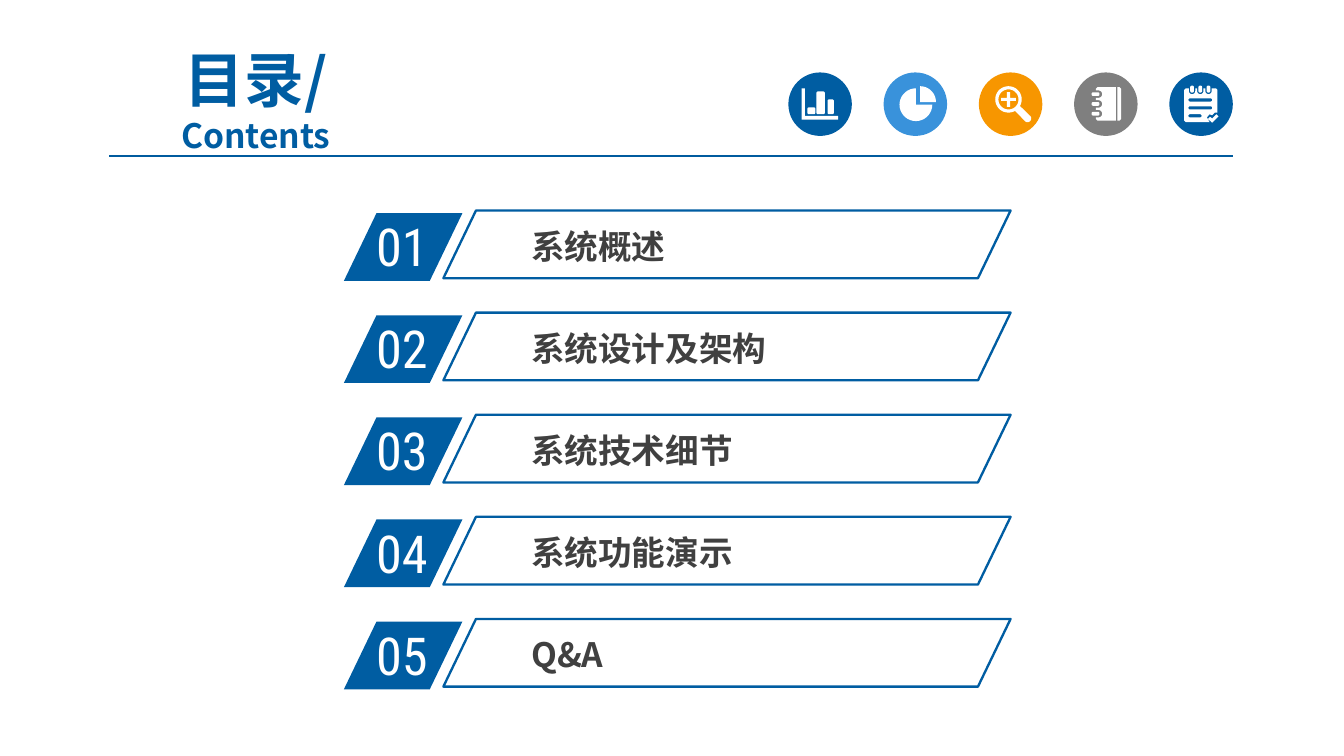
import math

import pptx
import pptx.dml.color
import pptx.enum.shapes
import pptx.enum.text
import pptx.oxml
import pptx.oxml.ns
import pptx.util

Cm = pptx.util.Cm
SHAPES = pptx.enum.shapes.MSO_SHAPE
TEXT = pptx.enum.text

BLUE, SKY, ORANGE, GREY = "005DA2", "3992DB", "F79600", "7F7F7F"
LINE_BLUE, DARK, WHITE = "005B9E", "404040", "FFFFFF"


def color(hex_string):
    return pptx.dml.color.RGBColor.from_string(hex_string)


# Outlines for the icons, in tenths of a millimetre inside a 120 x 120 badge
def arc(x, y, radius, start, end):
    steps = max(4, int(abs(end - start) / 10))
    angles = [math.radians(start + (end - start) * i / steps) for i in range(steps + 1)]
    return [(x + radius * math.cos(a), y + radius * math.sin(a)) for a in angles]


def bar(left, top, right, bottom, radius=3):
    return (arc(right - radius, top + radius, radius, -90, 0)
            + arc(right - radius, bottom - radius, radius, 0, 90)
            + arc(left + radius, bottom - radius, radius, 90, 180)
            + arc(left + radius, top + radius, radius, 180, 270))


def bar_chart_icon():
    axes = [(25, 30), (31, 30), (31, 82), (94, 82), (94, 89), (25, 89)]
    return [axes, bar(36, 66, 51, 79), bar(53, 36, 69, 79), bar(74, 51, 86, 79)]


def pie_icon():
    return [[(69, 56)] + arc(69, 56, 30, -90, 0), [(61, 61)] + arc(61, 61, 31, 0, 270)]


def magnifier_icon():
    x, y, long, thin = 56, 51, 14, 3
    lens_and_handle = arc(x, y, 25, 60, 390) + arc(92, 87, 7, -45, 135)
    corners = [(thin, long), (thin, thin), (long, thin)]
    plus = []
    for sign_x, sign_y in ((1, 1), (1, -1), (-1, -1), (-1, 1)):
        quarter = corners if sign_x == sign_y else corners[::-1]
        plus += [(x + sign_x * a, y + sign_y * b) for a, b in quarter]
    return [lens_and_handle, arc(x, y, 19, 0, 360), plus]


def notebook_icon():
    holes = [41, 59.5, 78]
    cover = [(79, 28), (44, 28), (41, 31)]
    for y in holes:
        cover += arc(46, y, 7, -90, 90) if not cover else (
            [(41, y - 7)] + arc(46, y, 7, -90, 90) + [(41, y + 7)])
    cover += [(41, 88), (44, 91), (79, 91)]
    spine = [(82, 28), (86, 28), (89, 31), (89, 88), (86, 91), (82, 91)]
    return [cover, spine] + [bar(33, y - 3.5, 48, y + 3.5) for y in holes]


def checklist_icon():
    rings = [43, 58.5, 74]
    page = [(28, 33), (31, 30)]
    for x in rings:
        page += [(x - 6, 30)] + arc(x, 35, 6, 180, 0) + [(x + 6, 30)]
    page += [(88, 30), (91, 33), (91, 76), (86, 76), (81, 81), (76, 79),
             (71, 85), (76, 94), (31, 94), (28, 91)]
    tick = [(93, 83), (81, 95), (73, 88), (77, 84), (81, 87), (89, 79)]
    lines = [bar(36, 49, 81, 55), bar(36, 64, 81, 70), bar(36, 79, 61, 85)]
    return [page, tick] + lines + [bar(x - 3.5, 25, x + 3.5, 38) for x in rings]


class ContentsSlide:
    cjk_font = "Noto Sans CJK SC"
    number_font = "Roboto Condensed"
    slant = 0.482
    badge_size = 1.2

    def __init__(self, slide):
        self.slide = slide

    def paint(self, shape, fill=None, line=None, width=1.25):
        shape.shadow.inherit = False
        if fill:
            shape.fill.solid()
            shape.fill.fore_color.rgb = color(fill)
        else:
            shape.fill.background()
        if line:
            shape.line.color.rgb = color(line)
            shape.line.width = pptx.util.Pt(width)
        else:
            shape.line.fill.background()

    def parallelogram(self, left, top, width, height, **paint):
        shape = self.slide.shapes.add_shape(
            SHAPES.PARALLELOGRAM, Cm(left), Cm(top), Cm(width), Cm(height))
        shape.adjustments[0] = self.slant
        self.paint(shape, **paint)

    def text(self, box, lines, name, hex_color, bold=False, frame=None, align=None):
        shape = self.slide.shapes.add_textbox(*map(Cm, box))
        for key, value in {"word_wrap": True, **(frame or {})}.items():
            setattr(shape.text_frame, key, value)
        paragraph = shape.text_frame.paragraphs[0]
        paragraph.alignment = align
        for index, (words, size) in enumerate(lines):
            if index:
                paragraph.add_line_break()
            run = paragraph.add_run()
            run.text = words
            style = {"name": name, "size": pptx.util.Pt(size), "bold": bold}
            for key, value in style.items():
                setattr(run.font, key, value)
            run.font.color.rgb = color(hex_color)
            latin = run.font._element.find(pptx.oxml.ns.qn("a:latin"))
            east_asian = pptx.oxml.parse_xml(
                f'<a:ea {pptx.oxml.ns.nsdecls("a")} typeface="{name}"/>')
            latin.addnext(east_asian)

    def rule(self, left, right, y):
        connector = self.slide.shapes.add_connector(
            pptx.enum.shapes.MSO_CONNECTOR.STRAIGHT, Cm(left), Cm(y), Cm(right), Cm(y))
        connector.line.color.rgb = color(LINE_BLUE)
        connector.line.width = pptx.util.Pt(0.75)
        connector._element.spPr.append(
            pptx.oxml.parse_xml(f'<a:effectLst {pptx.oxml.ns.nsdecls("a")}/>'))

    def badge(self, left, top, fill, outlines):
        size = Cm(self.badge_size)
        self.paint(self.slide.shapes.add_shape(
            SHAPES.OVAL, Cm(left), Cm(top), size, size), fill)
        # Ten drawing units to a tenth of a millimetre keep the curves smooth
        builder = None
        for outline in outlines:
            points = [(x * 10, y * 10) for x, y in outline]
            if builder is None:
                builder = self.slide.shapes.build_freeform(*points[0], scale=size / 1200)
            else:
                builder.move_to(*points[0])
            builder.add_line_segments(points[1:], close=True)
        self.paint(builder.convert_to_shape(Cm(left), Cm(top)), WHITE)


def main():
    presentation = pptx.Presentation()
    presentation.slide_width, presentation.slide_height = Cm(25.4), Cm(14.29)
    page = ContentsSlide(presentation.slides.add_slide(presentation.slide_layouts[6]))

    # Heading
    page.text((1.7, 1.19, 6.27, 1.37), [("目录/", 32), ("Contents", 18)],
              page.cjk_font, BLUE, bold=True, align=TEXT.PP_ALIGN.CENTER,
              frame={"vertical_anchor": TEXT.MSO_ANCHOR.MIDDLE})
    page.rule(2.06, 23.3, 2.95)

    # Contents rows
    topics = ["系统概述", "系统设计及架构", "系统技术细节", "系统功能演示", "Q&A"]
    insets = {"margin_left": Cm(0.18), "margin_right": Cm(0.18),
              "margin_top": Cm(0.1), "margin_bottom": Cm(0.1)}
    for index, topic in enumerate(topics):
        top = 3.98 + index * 1.93
        page.parallelogram(6.5, top + 0.05, 2.24, 1.28, fill=BLUE)
        page.text((6.86, top - 0.05, 2.13, 1.24), [(f"{index + 1:02}", 28)],
                  page.number_font, WHITE)
        page.text((9.86, top + 0.19, 7.85, 0.97), [(topic, 18)],
                  page.cjk_font, DARK, bold=True, frame=insets)
        page.parallelogram(8.38, top, 10.72, 1.28, line=BLUE)

    # Icon badges
    badges = [(BLUE, bar_chart_icon()), (SKY, pie_icon()), (ORANGE, magnifier_icon()),
              (GREY, notebook_icon()), (BLUE, checklist_icon())]
    for index, (fill, outlines) in enumerate(badges):
        page.badge(14.9 + index * 1.8, 1.37, fill, outlines)

    presentation.save("out.pptx")


if __name__ == "__main__":
    main()
